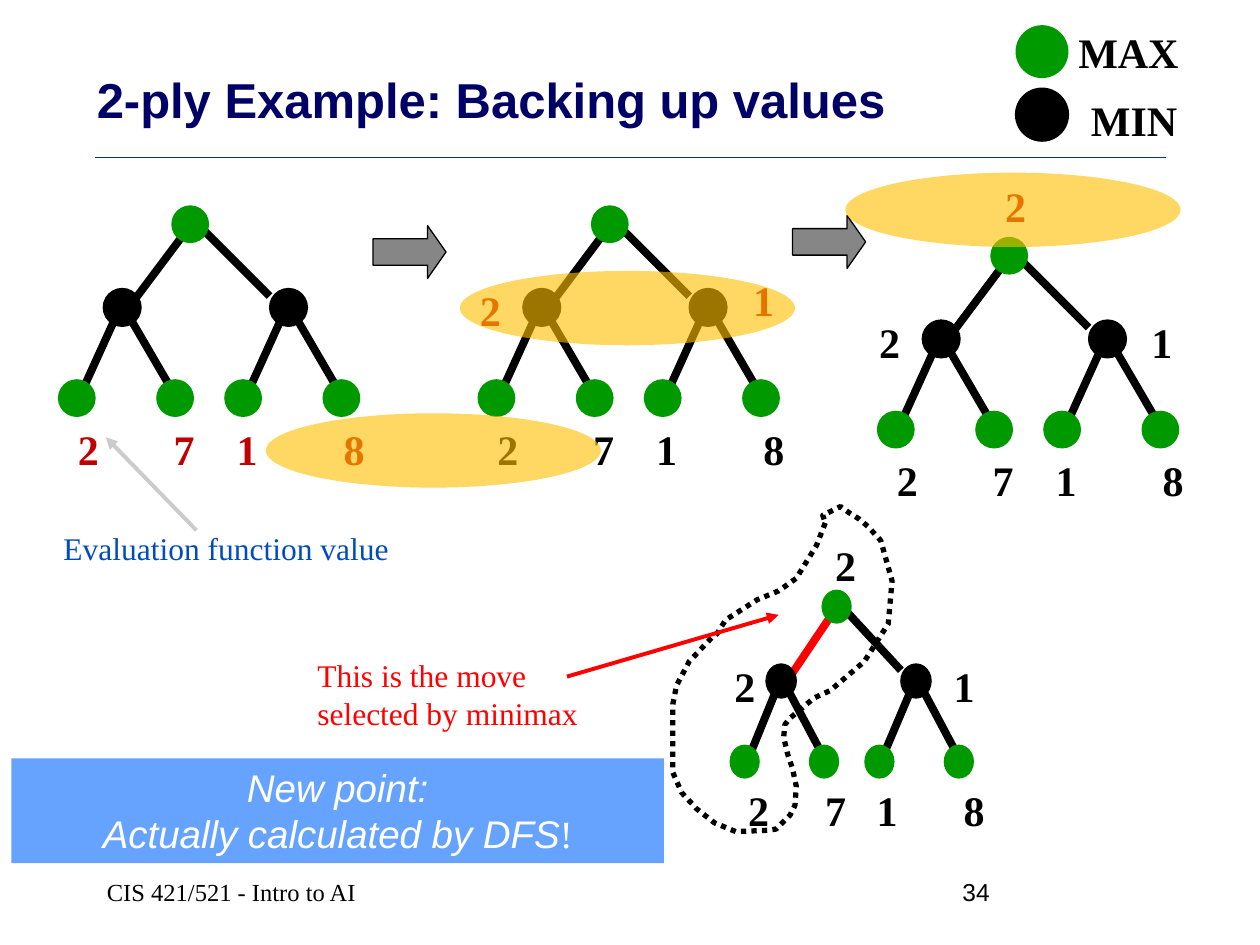
"""Build the slide that backs up values through a two-ply minimax tree."""
from dataclasses import dataclass
from typing import Optional

from lxml.etree import SubElement
from pptx import Presentation
from pptx.dml.color import RGBColor
from pptx.enum.dml import MSO_LINE
from pptx.enum.shapes import MSO_CONNECTOR, MSO_SHAPE
from pptx.enum.text import MSO_ANCHOR, PP_ALIGN
from pptx.oxml.ns import qn
from pptx.util import Emu, Pt

PX = 9144


@dataclass(frozen=True)
class Theme:
    serif: str = "Times New Roman"
    sans: str = "Arial"
    title_size: int = 28
    value_size: int = 24
    banner_size: int = 22
    note_size: int = 18
    footer_size: int = 14
    edge_width: float = 4.5
    dot_width: float = 3
    pointer_width: float = 2.25
    outline_width: float = 0.75
    rule_width: float = 1
    navy: str = "000066"
    rule: str = "003399"
    black: str = "000000"
    white: str = "FFFFFF"
    green: str = "009900"
    fresh: str = "C00000"
    chosen: str = "FF0000"
    evaluation: str = "004CBF"
    pointer: str = "CBCBCB"
    step: str = "868686"
    highlight: str = "FFC000"
    highlight_alpha: int = 61000
    banner: str = "66A3FF"


THEME = Theme()


@dataclass(frozen=True)
class Value:
    text: str
    x: int
    y: int
    color: str = THEME.black


@dataclass(frozen=True)
class Tree:
    x: int
    y: int
    backed_up: tuple[Value, ...] = ()
    leaf_color: str = THEME.black
    best_move: str = THEME.black
    scale_x: float = 1
    scale_y: float = 1
    selection: tuple[tuple[int, int], ...] = ()


SELECTION = (
    (655, 415), (648, 433), (640, 446), (632, 459), (618, 469), (601, 476),
    (576, 492), (569, 503), (565, 506), (547, 525), (537, 544), (534, 559),
    (534, 613), (541, 629), (553, 642), (567, 653), (584, 660), (609, 659),
    (616, 658), (627, 647), (631, 639), (632, 624), (629, 610), (625, 598),
    (622, 585), (623, 575), (627, 570), (646, 554), (659, 548), (686, 525),
    (705, 495), (708, 461), (699, 429), (689, 418), (682, 412), (674, 407),
    (667, 402), (653, 409),
)
LEAF_TREE = Tree(46, 163, leaf_color=THEME.fresh)
MIN_TREE = Tree(379, 163, (Value("2", 371, 221, THEME.fresh), Value("1", 588, 213, THEME.fresh)))
MAX_TREE = Tree(696, 188, (Value("2", 688, 246), Value("1", 904, 246),
                           Value("2", 788, 138, THEME.fresh)))
MOVE_TREE = Tree(579, 468, (Value("2", 573, 519), Value("1", 747, 519), Value("2", 653, 423)),
                 best_move=THEME.chosen, scale_x=0.81, scale_y=0.89, selection=SELECTION)
LEAF_VALUES = (("2", 6), ("7", 82), ("1", 132), ("8", 217))
MIN_NODES = (36, 168)


def px(*lengths: float) -> list[Emu]:
    return [Emu(round(length) * PX) for length in lengths]


def rgb(color: str) -> RGBColor:
    return RGBColor.from_string(color)


def write(paragraph, text: str, *, size: int, color: str, font: str = THEME.serif,
          bold: bool = False, italic: bool = False) -> None:
    run = paragraph.add_run()
    run.text = text
    run.font.name, run.font.size = font, Pt(size)
    run.font.bold, run.font.italic = bold, italic
    run.font.color.rgb = rgb(color)


def add_text(shapes, box: tuple[int, ...], *lines: str, wrap: bool = False,
             anchor=MSO_ANCHOR.TOP, align=PP_ALIGN.LEFT, **style) -> None:
    frame = shapes.add_textbox(*px(*box)).text_frame
    frame.word_wrap, frame.vertical_anchor = wrap, anchor
    for index, line in enumerate(lines):
        paragraph = frame.add_paragraph() if index else frame.paragraphs[0]
        paragraph.alignment = align
        write(paragraph, line, **style)


def add_value(shapes, value: Value, width: int = 37) -> None:
    add_text(shapes, (value.x, value.y, width, 50), value.text,
             size=THEME.value_size, color=value.color, bold=True)


def add_line(shapes, start: tuple[float, float], end: tuple[float, float], color: str,
             width: float, arrow: bool = False) -> None:
    connector = shapes.add_connector(MSO_CONNECTOR.STRAIGHT, *px(*start, *end))
    connector.line.color.rgb, connector.line.width = rgb(color), Pt(width)
    if arrow:
        SubElement(connector.line._get_or_add_ln(), qn("a:tailEnd"), type="triangle")
    SubElement(connector._element.spPr, qn("a:effectLst"))


def add_filled(shapes, kind, box: tuple[float, ...], fill: str, outline: Optional[str] = None):
    shape = shapes.add_shape(kind, *px(*box))
    shape.shadow.inherit = False
    shape.fill.solid()
    shape.fill.fore_color.rgb = rgb(fill)
    if outline:
        shape.line.color.rgb, shape.line.width = rgb(outline), Pt(THEME.outline_width)
    else:
        shape.line.fill.background()
    return shape


def add_node(shapes, x: float, y: float, width: float, height: float, is_max: bool) -> None:
    add_filled(shapes, MSO_SHAPE.OVAL, (x, y, width, height),
               THEME.green if is_max else THEME.black, None if is_max else THEME.black)


def add_selection(shapes, outline: tuple[tuple[int, int], ...]) -> None:
    builder = shapes.build_freeform(*outline[0], scale=PX)
    builder.add_line_segments(outline[1:], close=True)
    loop = builder.convert_to_shape()
    loop.shadow.inherit = False
    loop.fill.background()
    loop.line.color.rgb, loop.line.width = rgb(THEME.black), Pt(THEME.dot_width)
    loop.line.dash_style = MSO_LINE.ROUND_DOT


def add_tree(slide, tree: Tree) -> None:
    shapes = slide.shapes.add_group_shape().shapes

    def place(x: int, y: int) -> tuple[float, float]:
        return tree.x + x * tree.scale_x, tree.y + y * tree.scale_y

    if tree.selection:
        add_selection(shapes, tree.selection)
    edges = [((54, 84), (108, 12), tree.best_move), ((168, 72), (108, 12), THEME.black)]
    nodes = [(90, 0, True)]
    for x in MIN_NODES:
        edges += [((x + 12, 84), (x - 18, 150), THEME.black),
                  ((x + 18, 84), (x + 60, 156), THEME.black)]
        nodes += [(x, 66, False), (x - 36, 138, True), (x + 42, 138, True)]
    for start, end, color in edges:
        add_line(shapes, place(*start), place(*end), color, THEME.edge_width)
    for x, y, is_max in nodes:
        add_node(shapes, *place(x, y), 30 * tree.scale_x, 30 * tree.scale_y, is_max)
    for text, x in LEAF_VALUES:
        add_value(shapes, Value(text, *place(x, 168), tree.leaf_color))
    for value in tree.backed_up:
        add_value(shapes, value)


def add_banner(shapes) -> None:
    banner = add_filled(shapes, MSO_SHAPE.RECTANGLE, (9, 602, 518, 83), THEME.banner)
    frame = banner.text_frame
    frame.word_wrap, frame.vertical_anchor = True, MSO_ANCHOR.TOP
    frame.margin_left, frame.margin_top, frame.margin_right, frame.margin_bottom = px(9, 4, 9, 4)
    style = {"size": THEME.banner_size, "color": THEME.white}
    for paragraph, line in ((frame.paragraphs[0], "New point:"),
                            (frame.add_paragraph(), "Actually calculated by DFS")):
        paragraph.alignment = PP_ALIGN.CENTER
        write(paragraph, line, font=THEME.sans, italic=True, **style)
    write(frame.paragraphs[1], "!", **style)


def main() -> None:
    deck = Presentation()
    deck.slide_width, deck.slide_height = px(1000, 750)
    slide = deck.slides.add_slide(deck.slide_layouts[6])
    shapes = slide.shapes
    add_line(shapes, (75, 125), (925, 125), THEME.rule, THEME.rule_width)
    footer = {"size": THEME.footer_size, "color": THEME.black, "anchor": MSO_ANCHOR.MIDDLE}
    add_text(shapes, (75, 683, 258, 50), "CIS 421/521 - Intro to AI", **footer)
    add_text(shapes, (754, 683, 171, 50), "34", font=THEME.sans, **footer)
    add_text(shapes, (67, 50, 654, 57), "2-ply Example: Backing up values",
             font=THEME.sans, size=THEME.title_size, color=THEME.navy, bold=True)
    add_tree(slide, LEAF_TREE)
    for label, width, y, is_max in ((Value("MAX", 846, 16), 100, 20, True),
                                    (Value("MIN", 856, 70), 89, 70, False)):
        add_value(shapes, label, width)
        add_node(shapes, 806, y, 42, 42, is_max)
    add_tree(slide, MIN_TREE)
    add_tree(slide, MOVE_TREE)
    add_text(shapes, (242, 516, 229, 71), "This is the move", "selected by minimax",
             wrap=True, size=THEME.note_size, color=THEME.chosen)
    add_line(shapes, (450, 537), (618, 488), THEME.chosen, THEME.pointer_width, arrow=True)
    add_text(shapes, (30, 415, 299, 40), "Evaluation function value", wrap=True,
             align=PP_ALIGN.CENTER, size=THEME.note_size, color=THEME.evaluation)
    add_line(shapes, (156, 421), (84, 347), THEME.pointer, THEME.pointer_width, arrow=True)
    for x, y in ((296, 179), (629, 171)):
        step = add_filled(shapes, MSO_SHAPE.RIGHT_ARROW, (x, y, 58, 42), THEME.step, THEME.black)
        step.adjustments[1] = 0.35
    add_tree(slide, MAX_TREE)
    for x, y in ((365, 215), (671, 137), (211, 328)):
        glow = add_filled(shapes, MSO_SHAPE.OVAL, (x, y, 266, 59), THEME.highlight)
        tint = glow._element.spPr.find(qn("a:solidFill")).find(qn("a:srgbClr"))
        SubElement(tint, qn("a:alpha"), val=str(THEME.highlight_alpha))
    add_banner(shapes)
    deck.save("out.pptx")


if __name__ == "__main__":
    main()
